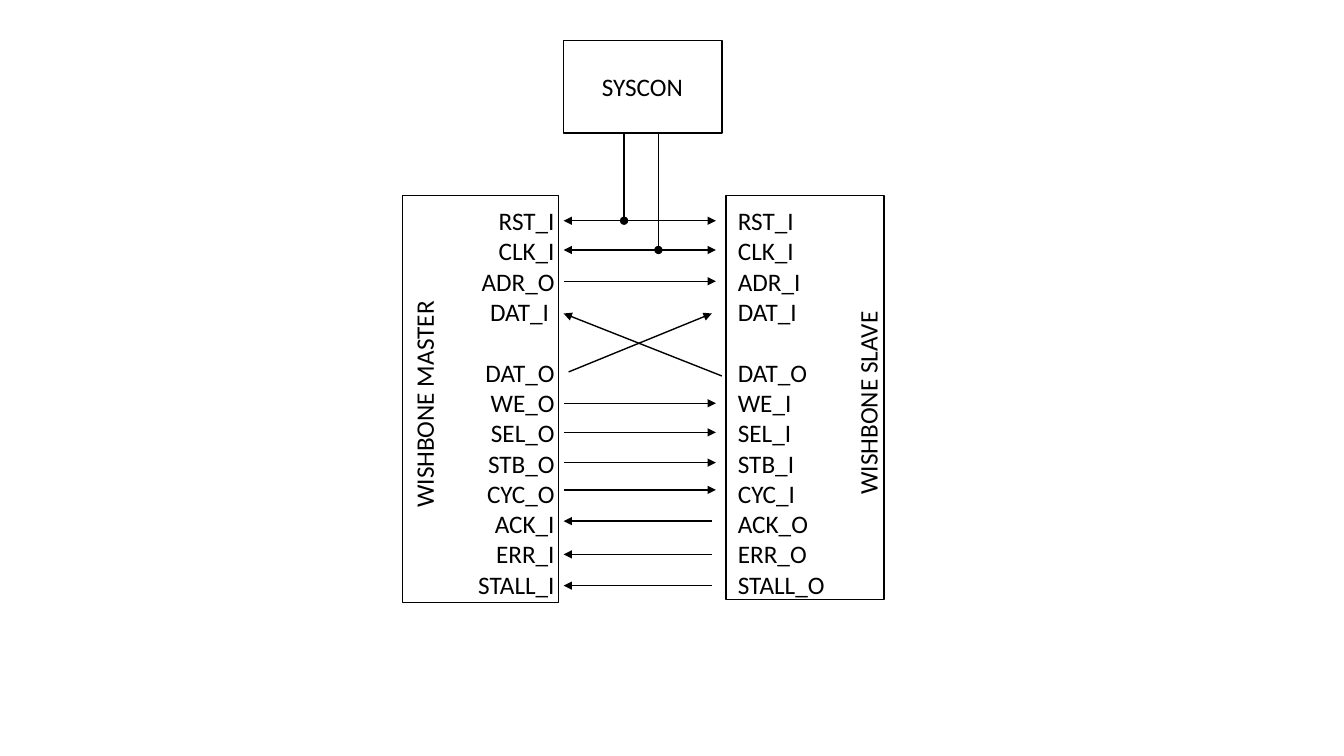
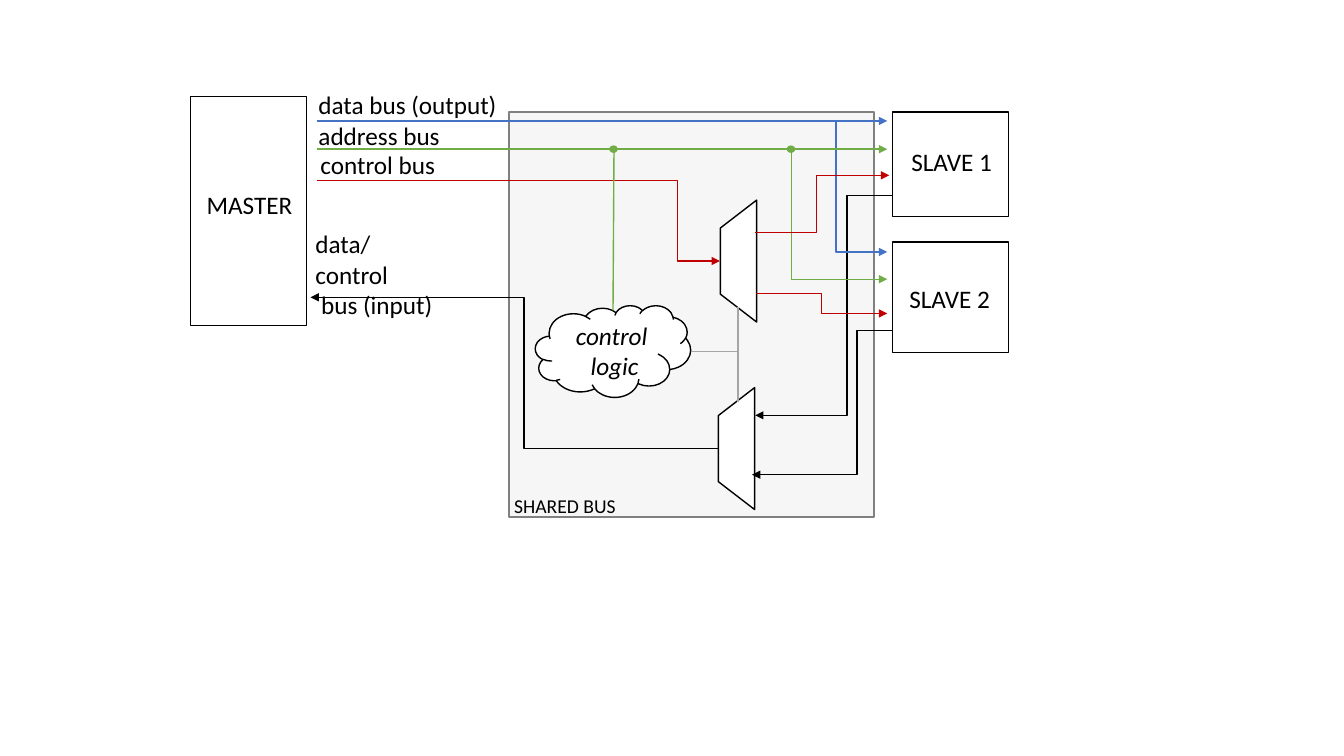
from pptx import Presentation as Deck
from pptx.dml.color import RGBColor as Color
from pptx.enum.shapes import MSO_CONNECTOR as Link, MSO_SHAPE as Kind
from pptx.enum.text import MSO_AUTO_SIZE as Fit, PP_ALIGN as Align
from pptx.oxml.ns import qn
from pptx.util import Inches, Pt
from lxml.etree import SubElement as Sub

# Shared look
FONT = "Calibri"
SIZE = 18
BLACK, WHITE = "000000", "FFFFFF"
BLUE, GREEN, RED = "4472C4", "70AD47", "C00000"
GREY, PALE, EDGE = "A5A5A5", "EDEDED", "808080"

# Signals of the two sides, and the row that follows a gap
MASTER = ["RST_I", "CLK_I", "ADR_O", "DAT_I ", "DAT_O", "WE_O", "SEL_O",
          "STB_O", "CYC_O", "ACK_I", "ERR_I", "STALL_I"]
SLAVE = ["RST_I", "CLK_I", "ADR_I", "DAT_I ", "DAT_O", "WE_I", "SEL_I",
         "STB_I", "CYC_I", "ACK_O", "ERR_O", "STALL_O"]
GAP = "DAT_O"


def paint(form, tint):
    form.rgb = Color.from_string(tint)


def shape(slide, kind, at, fill=WHITE, line=BLACK, turn=0, adj=None, clear=None):
    """Draw a preset shape; clear is its opacity in percent."""
    item = slide.shapes.add_shape(kind, *map(Inches, at))
    item.shadow.inherit = False
    item.rotation = turn
    if adj is not None:
        item.adjustments[0] = adj
    if fill is None:
        item.fill.background()
    else:
        item.fill.solid()
        paint(item.fill.fore_color, fill)
    if clear is not None:
        tint = item.fill._xPr.find(qn("a:solidFill"))[0]
        Sub(tint, qn("a:alpha"), val=str(clear * 1000))
    paint(item.line.color, line)
    item.line.width = Pt(1)
    return item


def text(slide, words, at, size=SIZE, align=Align.LEFT, slant=False, turn=0,
         wrap=False, gap=None):
    """Write one paragraph a line; gap names a line set one row lower."""
    item = slide.shapes.add_textbox(*map(Inches, at))
    item.rotation = turn
    frame = item.text_frame
    frame.word_wrap = wrap
    frame.auto_size = Fit.SHAPE_TO_FIT_TEXT
    frame.text = words
    for para in frame.paragraphs:
        para.alignment = align
        if gap and para.text == gap:
            para.space_before = Pt(22)
        for run in para.runs:
            run.font.name = FONT
            run.font.size = Pt(size)
            run.font.italic = slant
            paint(run.font.color, BLACK)


def style(wire, tint, head, tail):
    """Give a connector its colour and ends, without a shadow."""
    paint(wire.line.color, tint)
    wire.line.width = Pt(1)
    line = wire.line._get_or_add_ln()
    for tag, end in (("a:headEnd", head), ("a:tailEnd", tail)):
        if end:
            Sub(line, qn(tag), type=end)
    Sub(wire._element.spPr, qn("a:effectLst"))


def wire(slide, start, stop, tint=BLACK, head=None, tail="triangle"):
    item = slide.shapes.add_connector(Link.STRAIGHT, *map(Inches, start + stop))
    style(item, tint, head, tail)


def elbow(slide, start, stop, mid=None, tint=BLACK, tail="triangle"):
    """Bend at x = mid; without mid, turn one corner only."""
    item = slide.shapes.add_connector(Link.ELBOW, *map(Inches, start + stop))
    form = item._element.spPr.find(qn("a:prstGeom"))
    if mid is None:
        form.set("prst", "bentConnector2")
    else:
        part = (mid - start[0]) / (stop[0] - start[0])
        list_ = form.find(qn("a:avLst"))
        if list_ is None:
            list_ = Sub(form, qn("a:avLst"))
        Sub(list_, qn("a:gd"), name="adj1", fmla=f"val {round(part * 100000)}")
    style(item, tint, None, tail)


def block(slide, name, at, spot):
    """Draw a box with its name."""
    shape(slide, Kind.RECTANGLE, at)
    text(slide, name, spot)


def point(slide):
    """Link of one master and one slave."""
    # Boxes and signals
    shape(slide, Kind.RECTANGLE, (3.99, 1.94, 1.55, 4.04), fill=None)
    text(slide, "\n".join(MASTER), (4.63, 1.99, 0.97, 4.04), align=Align.RIGHT, gap=GAP)
    shape(slide, Kind.RECTANGLE, (7.2, 1.94, 1.57, 4.01), fill=None)
    text(slide, "\n".join(SLAVE), (7.22, 1.99, 1.07, 4.04), gap=GAP)
    text(slide, "WISHBONE SLAVE", (7.59, 3.79, 2.03, 0.4), turn=270)
    text(slide, "WISHBONE MASTER", (3.08, 3.81, 2.25, 0.4), turn=270)

    # Arrows both ways, to the slave, and to the master
    left, right = 5.59, 7.1
    for y in (2.19, 2.48):
        wire(slide, (left, y), (right, y), head="triangle")
    for y in (2.79, 4, 4.29, 4.59, 4.86):
        wire(slide, (left, y), (right, y))
    for y in (5.17, 5.5, 5.81):
        wire(slide, (7.06, y), (left, y))

    # Crossed data lines
    wire(slide, (left, 3.11), (7.16, 3.73), head="triangle", tail=None)
    wire(slide, (7.06, 3.11), (5.64, 3.69), head="triangle", tail=None)

    # Reset and clock
    block(slide, "SYSCON", (5.59, 0.4, 1.57, 0.92), (5.87, 0.66, 1.01, 0.4))
    for x, y in ((6.19, 2.19), (6.53, 2.48)):
        wire(slide, (x, 1.32), (x, y), tail="oval")


def shared(slide):
    """Bus shared by one master and two slaves."""
    shape(slide, Kind.RECTANGLE, (5.05, 1.11, 3.62, 4.02), PALE, EDGE, clear=48)
    elbow(slide, (8.91, 1.94), (7.49, 4.12), 8.4)

    # Data and address buses
    shape(slide, Kind.CLOUD, (5.31, 3.03, 1.54, 0.91))
    for y, low, mid, tint in ((1.2, 2.5, 8.29, BLUE), (1.48, 2.77, 7.85, GREEN)):
        wire(slide, (3.14, y), (8.8, y), tint)
        elbow(slide, (3.14, y), (8.8, low), mid, tint)
    text(slide, "data bus (output)", (3.06, 0.84, 1.97, 0.4))
    text(slide, "address bus", (3.06, 1.14, 1.41, 0.4))
    text(slide, "control bus", (3.08, 1.43, 1.34, 0.4))

    # Switches
    for x, y in ((6.72, 2.41), (6.7, 4.27)):
        shape(slide, Kind.TRAPEZOID, (x, y, 1.21, 0.36), turn=270, adj=0.77)

    # Control bus
    for start, stop, mid in (((3.14, 1.79), (7.14, 2.59), 6.72),
                             ((7.49, 2.31), (8.82, 1.74), 8.1),
                             ((7.5, 2.91), (8.8, 3.11), 8.15)):
        elbow(slide, start, stop, mid, RED)

    # Way back to the master
    elbow(slide, (7.13, 4.45), (3.08, 2.95), 5.2)
    text(slide, "data/\vcontrol\n bus (input)", (3.03, 2.22, 1.45, 0.71))

    # Control logic
    for y in (3.05, 3.99):
        elbow(slide, (6.85, 3.49), (7.32, y), tint=GREY, tail=None)
    wire(slide, (6.09, 1.47), (6.08, 3.08), GREEN, tail=None)
    for x in (6.05, 7.81):
        shape(slide, Kind.OVAL, (x, 1.45, 0.07, 0.06), GREEN, GREEN)
    text(slide, "control \nlogic", (5.53, 3.13, 1.13, 0.71), align=Align.CENTER,
         slant=True, wrap=True)

    # Master and slaves
    elbow(slide, (8.89, 3.28), (7.46, 4.71), 8.5)
    block(slide, "SLAVE 1", (8.85, 1.11, 1.15, 1.04), (8.94, 1.4, 1.01, 0.4))
    block(slide, "SLAVE 2", (8.85, 2.4, 1.15, 1.1), (8.92, 2.76, 1.01, 0.4))
    block(slide, "MASTER", (1.89, 0.96, 1.15, 2.27), (1.95, 1.83, 1.05, 0.4))
    text(slide, "SHARED BUS", (5, 4.85, 1.22, 0.34), size=14)


def main():
    deck = Deck()
    deck.slide_width, deck.slide_height = Inches(13.33), Inches(7.5)
    for draw in (point, shared):
        draw(deck.slides.add_slide(deck.slide_layouts[6]))
    deck.save("out.pptx")


main()
